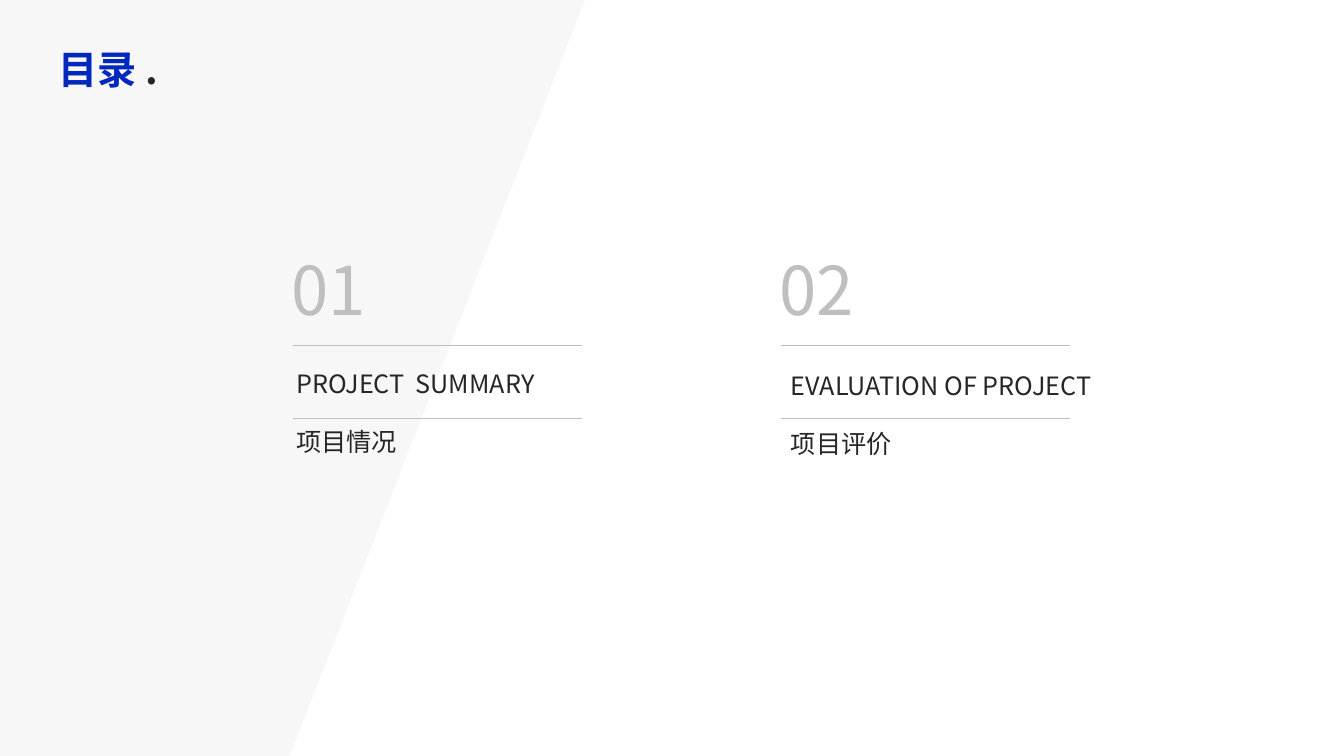
from lxml.etree import SubElement
from pptx import Presentation
from pptx.dml.color import RGBColor
from pptx.enum.shapes import MSO_CONNECTOR
from pptx.enum.text import MSO_ANCHOR
from pptx.oxml.ns import qn
from pptx.util import Pt

TITLE = ("目录", " .")
ITEMS = [
    # number, English name, Chinese name, (label left, label top)
    ("01", "PROJECT  SUMMARY", "项目情况", (211.7, 263)),
    ("02", "EVALUATION OF PROJECT", "项目评价", (565.2, 264.5)),
]

FONT = "Noto Sans CJK SC"
BLUE = RGBColor(0x00, 0x28, 0xBE)
DARK = RGBColor(0x26, 0x26, 0x26)
GREY = RGBColor(0xBF, 0xBF, 0xBF)
PALE = RGBColor(0xF7, 0xF7, 0xF7)
WIDE, HIGH = 960.5, 540
LEFT, STEP, RULE = 209.5, 348.5, 206.6
RULES = (247, 298.8)


def add_text(slide, box, paras, size, bold=False, gap=0):
    """Add a text box; each paragraph is a list of (text, colour) runs."""
    shape = slide.shapes.add_textbox(*map(Pt, box))
    frame = shape.text_frame
    frame.word_wrap = True
    frame.vertical_anchor = MSO_ANCHOR.TOP
    frame.margin_left = frame.margin_right = 0
    frame.margin_top = frame.margin_bottom = 0
    for i, runs in enumerate(paras):
        para = frame.add_paragraph() if i else frame.paragraphs[0]
        para.space_before = Pt(gap if i else 0)
        for text, color in runs:
            run = para.add_run()
            run.text = text
            font = run.font
            font.name, font.size, font.bold = FONT, Pt(size), bold
            font.color.rgb = color
            east = SubElement(run._r.get_or_add_rPr(), qn("a:ea"))
            east.set("typeface", FONT)


def add_rule(slide, left, top):
    line = slide.shapes.add_connector(
        MSO_CONNECTOR.STRAIGHT, Pt(left), Pt(top), Pt(left + RULE), Pt(top))
    line.line.color.rgb = GREY
    line.line.width = Pt(0.5)
    SubElement(line._element.spPr, qn("a:effectLst"))


def add_panel(slide):
    form = slide.shapes.build_freeform(0, 0, scale=Pt(1))
    form.add_line_segments([(418.3, 0), (206.6, HIGH), (0, HIGH)], close=True)
    panel = form.convert_to_shape()
    panel.shadow.inherit = False
    panel.fill.solid()
    panel.fill.fore_color.rgb = PALE
    panel.line.fill.background()


def main():
    deck = Presentation()
    deck.slide_width, deck.slide_height = Pt(WIDE), Pt(HIGH)
    slide = deck.slides.add_slide(deck.slide_layouts[6])
    add_panel(slide)
    add_text(slide, (41.8, 32.6, 112, 41), [list(zip(TITLE, (BLUE, DARK)))],
             28, bold=True)
    for i, (number, name, local, (x, y)) in enumerate(ITEMS):
        left = LEFT + i * STEP
        add_text(slide, (left - 1.1, 177.4, 75, 70), [[(number, GREY)]], 48)
        for top in RULES:
            add_rule(slide, left, top)
        add_text(slide, (x, y, 225, 72), [[(name, DARK)], [(local, DARK)]],
                 18, gap=19.7)
    deck.save("out.pptx")


if __name__ == "__main__":
    main()
